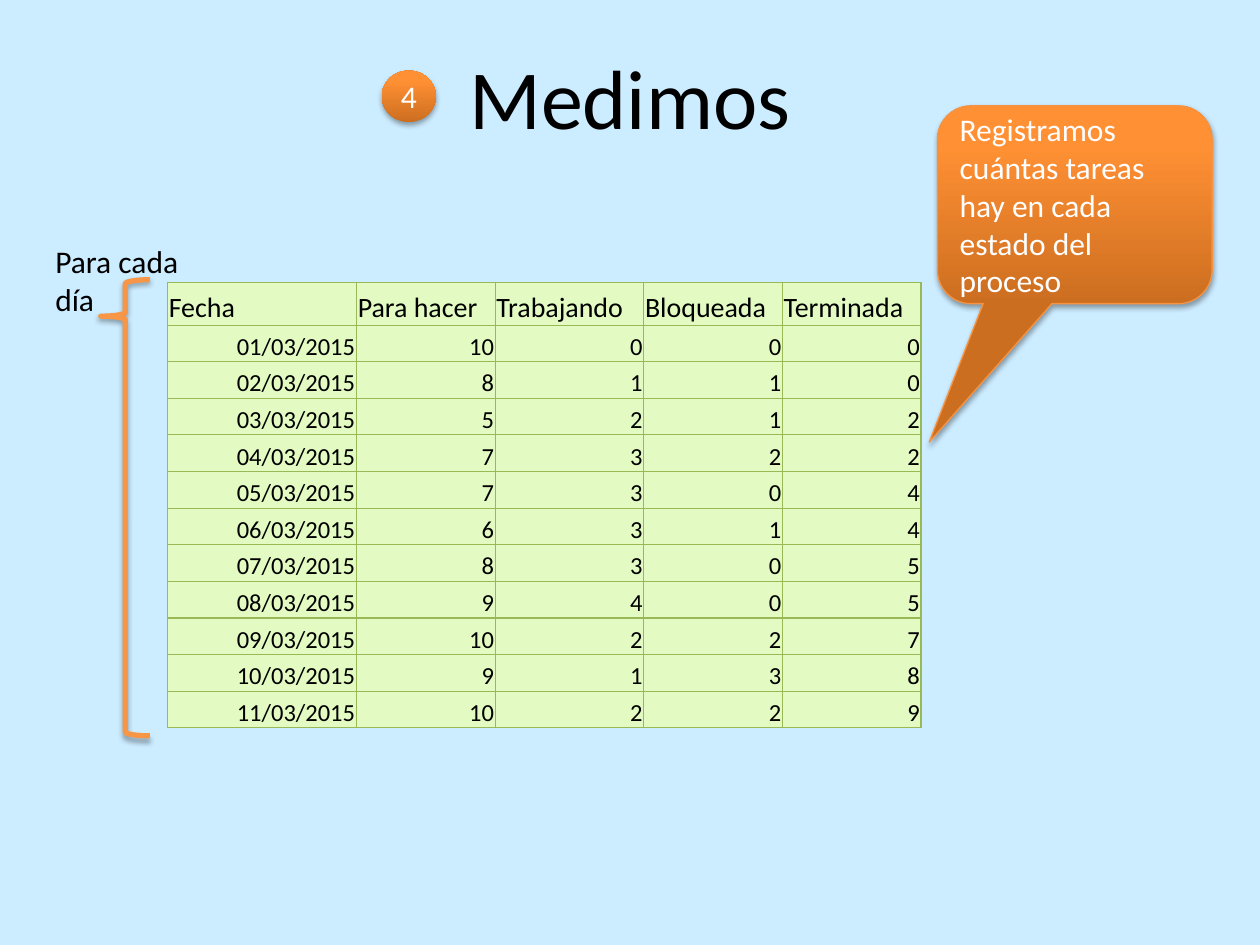
import copy

import lxml.etree
import pptx
import pptx.dml.color
import pptx.enum.shapes
import pptx.enum.text
import pptx.oxml.ns
import pptx.util

Inches = pptx.util.Inches
Pt = pptx.util.Pt
Shape = pptx.enum.shapes.MSO_SHAPE
Align = pptx.enum.text.PP_ALIGN
Anchor = pptx.enum.text.MSO_ANCHOR
qn = pptx.oxml.ns.qn

FONT = "Calibri"
HEADS = ["Fecha", "Para hacer", "Trabajando", "Bloqueada", "Terminada"]
COUNTS = [
    (10, 0, 0, 0),
    (8, 1, 1, 0),
    (5, 2, 1, 2),
    (7, 3, 2, 2),
    (7, 3, 0, 4),
    (6, 3, 1, 4),
    (8, 3, 0, 5),
    (9, 4, 0, 5),
    (10, 2, 2, 7),
    (9, 1, 3, 8),
    (10, 2, 2, 9),
]
WIDTHS = [1.5, 1.1, 1.18, 1.1, 1.1]


def color(code):
    return pptx.dml.color.RGBColor.from_string(code)


def write(frame, text, size=18, ink="000000", align=Align.LEFT,
          anchor=Anchor.TOP, wrap=True):
    frame.word_wrap = wrap
    frame.vertical_anchor = anchor
    frame.text = text
    for para in frame.paragraphs:
        para.alignment = align
        para.font.size = Pt(size)
        para.font.name = FONT
        para.font.color.rgb = color(ink)


def add_label(slide, box, text, **style):
    label = slide.shapes.add_textbox(*map(Inches, box))
    write(label.text_frame, text, **style)


def add_part(slide, kind, box, adjust=()):
    """Add a preset shape with the soft shadow all shapes here share."""
    part = slide.shapes.add_shape(kind, *map(Inches, box))
    for i, value in enumerate(adjust):
        part.adjustments[i] = value
    part.shadow.inherit = False
    effects = part._element.spPr.find(qn("a:effectLst"))
    shadow = lxml.etree.SubElement(
        effects, qn("a:outerShdw"), blurRad=str(Pt(3.1)), dist=str(Pt(1.8)),
        dir="5400000", rotWithShape="0")
    tint = lxml.etree.SubElement(shadow, qn("a:srgbClr"), val="000000")
    lxml.etree.SubElement(tint, qn("a:alpha"), val="35000")
    return part


def fill_orange(part):
    part.fill.gradient()
    stops = part._element.spPr.find(".//" + qn("a:gsLst"))
    stops.append(copy.deepcopy(stops[0]))
    shades = [(0, "CC6E20"), (0.8, "FF9034"), (1, "FF9136")]
    for stop, (place, code) in zip(part.fill.gradient_stops, shades):
        stop.position = place
        stop.color.rgb = color(code)
    part.fill.gradient_angle = 90


def add_badge(slide, box, text):
    badge = add_part(slide, Shape.FLOWCHART_CONNECTOR, box)
    fill_orange(badge)
    badge.line.fill.background()
    write(badge.text_frame, text, ink="FFFFFF", align=Align.CENTER,
          anchor=Anchor.MIDDLE, wrap=False)


def add_note(slide, box, text):
    note = add_part(slide, Shape.ROUNDED_RECTANGULAR_CALLOUT, box,
                    (-0.53, 1.2, 0.17))
    fill_orange(note)
    note.line.color.rgb = color("F69240")
    note.line.width = Pt(0.75)
    write(note.text_frame, text, ink="FFFFFF", anchor=Anchor.MIDDLE)


def add_brace(slide, box):
    brace = add_part(slide, Shape.LEFT_BRACE, box, (0.08, 0.08))
    brace.fill.background()
    brace.line.color.rgb = color("F79646")
    brace.line.width = Pt(3)


def edge_cell(cell, code, width):
    props = cell._tc.get_or_add_tcPr()
    for i, side in enumerate(("lnL", "lnR", "lnT", "lnB")):
        line = lxml.etree.Element(qn("a:" + side), w=str(Pt(width)))
        fill = lxml.etree.SubElement(line, qn("a:solidFill"))
        lxml.etree.SubElement(fill, qn("a:srgbClr"), val=code)
        props.insert(i, line)


def add_log(slide, box):
    """Add the table of daily task counts."""
    rows = [HEADS]
    for day, counts in enumerate(COUNTS, 1):
        rows.append([f"{day:02}/03/2015", *map(str, counts)])
    table = slide.shapes.add_table(
        len(rows), len(HEADS), *map(Inches, box)).table
    for col, width in zip(table.columns, WIDTHS):
        col.width = Inches(width)
    head = 0.34
    pitch = (box[3] - head) / len(COUNTS)
    for r, row in enumerate(rows):
        table.rows[r].height = Inches(pitch if r else head)
        for c, text in enumerate(row):
            cell = table.cell(r, c)
            cell.margin_left = cell.margin_right = Inches(0.01)
            cell.margin_top, cell.margin_bottom = Inches(0.01), 0
            cell.vertical_anchor = Anchor.BOTTOM
            cell.fill.solid()
            cell.fill.fore_color.rgb = color("E3FBC2")
            edge_cell(cell, "98B955", 0.75)
            para = cell.text_frame.paragraphs[0]
            para.alignment = Align.RIGHT if r else Align.LEFT
            para.text = text
            para.font.size = Pt(14 if r else 16)
            para.font.name = FONT
            para.font.bold = False
            para.font.color.rgb = color("000000")


def main():
    deck = pptx.Presentation()
    deck.slide_width, deck.slide_height = Inches(10), Inches(7.5)
    slide = deck.slides.add_slide(deck.slide_layouts[6])
    slide.background.fill.solid()
    slide.background.fill.fore_color.rgb = color("CCECFF")

    add_label(slide, (0.5, 0.3, 9, 0.93), "Medimos", size=48,
              align=Align.CENTER, anchor=Anchor.MIDDLE)
    add_badge(slide, (3.03, 0.56, 0.43, 0.41), "4")
    add_log(slide, (1.33, 2.24, 5.98, 3.54))
    add_brace(slide, (0.8, 2.22, 0.39, 3.62))
    add_label(slide, (0.34, 1.87, 1.19, 0.71), "Para cada\ndía", wrap=False)
    add_note(slide, (7.44, 0.84, 2.18, 1.57),
             "Registramos cuántas tareas hay en cada estado del proceso")
    deck.save("out.pptx")


if __name__ == "__main__":
    main()
